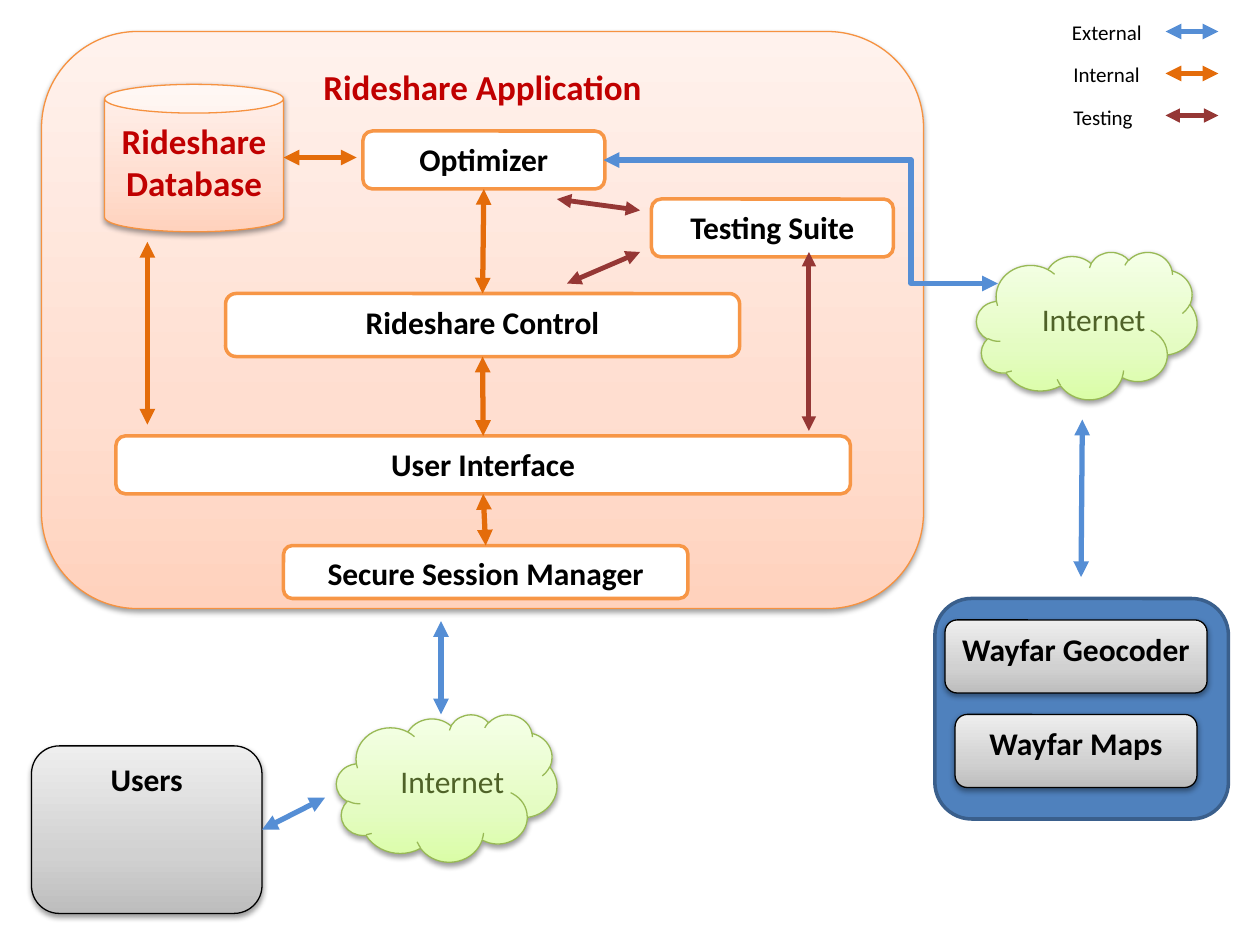
import copy

import lxml.etree
import pptx
import pptx.dml.color
import pptx.enum.shapes
import pptx.enum.text
import pptx.oxml
import pptx.oxml.ns
import pptx.util

Inches = pptx.util.Inches
Pt = pptx.util.Pt
RGBColor = pptx.dml.color.RGBColor
Shape = pptx.enum.shapes.MSO_SHAPE
Connector = pptx.enum.shapes.MSO_CONNECTOR
qn = pptx.oxml.ns.qn

BLACK = RGBColor(0x00, 0x00, 0x00)
WHITE = RGBColor(0xFF, 0xFF, 0xFF)
TITLE_RED = RGBColor(0xC0, 0x00, 0x00)
LEAF = RGBColor(0x4F, 0x62, 0x28)
LEAF_EDGE = RGBColor(0x98, 0xB9, 0x55)
PEACH_EDGE = RGBColor(0xF6, 0x92, 0x40)
MODULE_EDGE = RGBColor(0xF7, 0x96, 0x46)
SERVICE_BLUE = RGBColor(0x4F, 0x81, 0xBD)
SERVICE_EDGE = RGBColor(0x3A, 0x5F, 0x8C)
EXTERNAL = RGBColor(0x55, 0x8E, 0xD5)
INTERNAL = RGBColor(0xE4, 0x6C, 0x0A)
TESTING = RGBColor(0x95, 0x37, 0x35)
GREEN_RAMP = [RGBColor(0xDA, 0xFD, 0xA7), RGBColor(0xE4, 0xFC, 0xC2), RGBColor(0xF5, 0xFF, 0xE7)]
PEACH_RAMP = [RGBColor(0xFF, 0xD2, 0xBD), RGBColor(0xFF, 0xDE, 0xD0), RGBColor(0xFF, 0xF2, 0xED)]
GRAY_RAMP = [RGBColor(0xBD, 0xBD, 0xBD), RGBColor(0xD1, 0xD1, 0xD1), RGBColor(0xEE, 0xEE, 0xEE)]

SHADOW = (
    f'<a:outerShdw {pptx.oxml.ns.nsdecls("a")} blurRad="40000" dist="20000" '
    'dir="5400000" rotWithShape="0"><a:srgbClr val="000000">'
    '<a:alpha val="38000"/></a:srgbClr></a:outerShdw>'
)


class Diagram:
    font = "Calibri"

    def __init__(self, deck):
        self.page = deck.slides.add_slide(deck.slide_layouts[6])

    def set_text(self, box, text, size, color, bold=False, align=None):
        box.text_frame.text = text
        para = box.text_frame.paragraphs[0]
        para.alignment = align
        for span in para.runs:
            span.font.name = self.font
            span.font.size = Pt(size)
            span.font.bold = bold
            span.font.color.rgb = color

    def block(self, kind, place, edge, width, text="", size=18, color=BLACK):
        box = self.page.shapes.add_shape(kind, *map(Inches, place))
        box.shadow.inherit = False
        box.line.color.rgb = edge
        box.line.width = Pt(width)
        if text:
            box.text_frame.word_wrap = True
            box.text_frame.vertical_anchor = pptx.enum.text.MSO_ANCHOR.TOP
            self.set_text(box, text, size, color, True, pptx.enum.text.PP_ALIGN.CENTER)
        return box

    def flat(self, place, fill, edge, text=""):
        box = self.block(Shape.ROUNDED_RECTANGLE, place, edge, 2, text)
        box.fill.solid()
        box.fill.fore_color.rgb = fill
        return box

    def raised(self, kind, place, ramp, edge, text="", size=18, color=BLACK):
        box = self.block(kind, place, edge, 0.75, text, size, color)
        box.fill.gradient()
        box.fill.gradient_angle = 90
        properties = box._element.spPr
        stops = properties.find(".//" + qn("a:gsLst"))
        stops.insert(1, copy.deepcopy(stops[0]))
        for stop, position, shade in zip(box.fill.gradient_stops, (0, 0.35, 1), ramp):
            stop.position = position
            stop.color.rgb = shade
        properties.find(qn("a:effectLst")).append(pptx.oxml.parse_xml(SHADOW))
        return box

    def label(self, place, text, size, color):
        box = self.page.shapes.add_textbox(*map(Inches, place))
        box.text_frame.word_wrap = False
        self.set_text(box, text, size, color)

    def cloud(self, left, top, label_left, label_top):
        self.raised(Shape.CLOUD, (left, top, 1.75, 1.17), GREEN_RAMP, LEAF_EDGE)
        self.label((label_left, label_top, 1.05, 0.4), "Internet", 18, LEAF)

    def arrow(self, start, end, color, kind=Connector.STRAIGHT):
        line = self.page.shapes.add_connector(kind, *map(Inches, start + end))
        line.line.color.rgb = color
        line.line.width = Pt(2.75 if color == TESTING else 3)
        properties = line._element.spPr
        stroke = properties.find(qn("a:ln"))
        for tip in ("a:headEnd", "a:tailEnd"):
            lxml.etree.SubElement(stroke, qn(tip), type="triangle")
        lxml.etree.SubElement(properties, qn("a:effectLst"))
        return line

    def elbow(self, start, end, color, bend):
        line = self.arrow(start, end, color, Connector.ELBOW)
        guides = line._element.spPr.find(qn("a:prstGeom")).get_or_add_avLst()
        lxml.etree.SubElement(guides, qn("a:gd"), name="adj1", fmla=f"val {round(bend * 100000)}")

    def stack(self, upper, lower):
        line = self.arrow((0, 0), (0, 0), INTERNAL)
        line.begin_connect(upper, 2)
        line.end_connect(lower, 0)


def main():
    deck = pptx.Presentation()
    deck.slide_width = Inches(10)
    deck.slide_height = Inches(7.5)
    diagram = Diagram(deck)
    rounded = Shape.ROUNDED_RECTANGLE

    diagram.raised(rounded, (0.33, 0.25, 7, 4.58), PEACH_RAMP, PEACH_EDGE,
                   "Rideshare Application", 20, TITLE_RED)
    diagram.raised(Shape.CAN, (0.83, 0.67, 1.42, 1.17), PEACH_RAMP, PEACH_EDGE,
                   "Rideshare Database", 20, TITLE_RED).adjustments[0] = 0.195

    diagram.flat((7.42, 4.75, 2.33, 1.75), SERVICE_BLUE, SERVICE_EDGE)
    services = [
        ((7.58, 5.67, 1.92, 0.58), "Wayfar Maps"),
        ((7.5, 4.92, 2.08, 0.58), "Wayfar Geocoder"),
    ]
    for place, name in services:
        diagram.raised(rounded, place, GRAY_RAMP, BLACK, name)
    users = diagram.raised(rounded, (0.25, 5.92, 1.83, 1.33), GRAY_RAMP, BLACK, "Users")

    modules = [
        ((2.88, 1.04, 1.92, 0.46), "Optimizer"),
        ((1.79, 2.33, 4.08, 0.5), "Rideshare Control"),
        ((0.92, 3.46, 5.83, 0.46), "User Interface"),
        ((2.25, 4.33, 3.21, 0.42), "Secure Session Manager"),
    ]
    layers = [diagram.flat(place, WHITE, MODULE_EDGE, name) for place, name in modules]
    for upper, lower in zip(layers, layers[1:]):
        diagram.stack(upper, lower)
    diagram.flat((5.17, 1.58, 1.92, 0.46), WHITE, MODULE_EDGE, "Testing Suite")

    diagram.cloud(2.67, 5.67, 3.08, 6)
    diagram.cloud(7.75, 2, 8.17, 2.33)

    links = [
        ((3.5, 4.93), (3.5, 5.67), EXTERNAL),
        ((8.59, 3.33), (8.58, 4.58), EXTERNAL),
        ((2.83, 1.25), (2.25, 1.25), INTERNAL),
        ((1.17, 1.92), (1.17, 3.37), INTERNAL),
        ((5.08, 2), (4.5, 2.25), TESTING),
        ((4.42, 1.58), (5.08, 1.67), TESTING),
        ((6.42, 2), (6.42, 3.42), TESTING),
    ]
    for start, end, color in links:
        diagram.arrow(start, end, color)
    diagram.arrow((2.58, 6.33), (2.08, 6.58), EXTERNAL).end_connect(users, 3)
    diagram.elbow((4.79, 1.27), (7.92, 2.25), EXTERNAL, 0.78)

    legend = [
        ("External", EXTERNAL, 8.41, 0.76),
        ("Internal", INTERNAL, 8.42, 0.73),
        ("Testing", TESTING, 8.42, 0.68),
    ]
    for row, (name, color, left, width) in enumerate(legend):
        drop = row / 3
        diagram.label((left, 0.11 + drop, width, 0.3), name, 12, BLACK)
        diagram.arrow((9.25, 0.25 + drop), (9.67, 0.25 + drop), color)

    deck.save("out.pptx")


if __name__ == "__main__":
    main()
